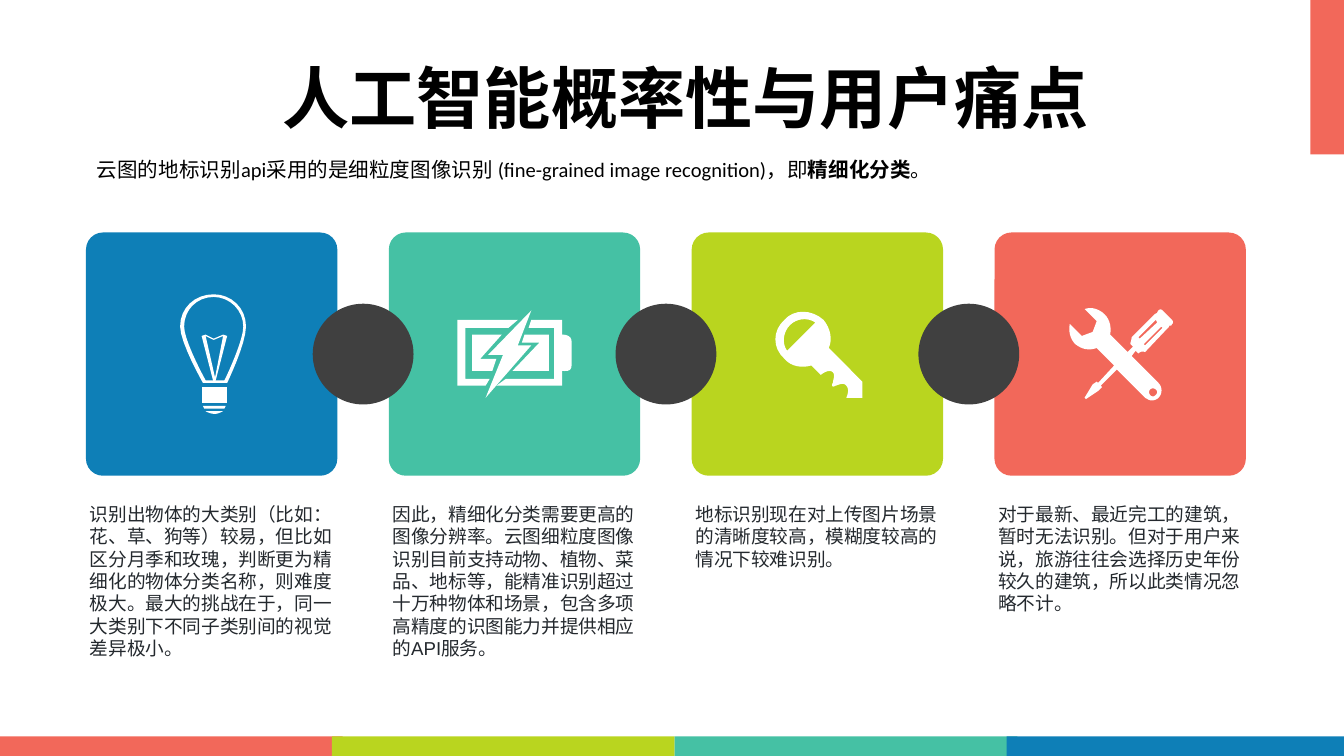
from pptx import Presentation
from pptx.dml.color import RGBColor
from pptx.enum.shapes import MSO_SHAPE as Shape
from pptx.enum.text import MSO_ANCHOR as Anchor, MSO_AUTO_SIZE as AutoSize
from pptx.util import Inches, Pt

WIDTH = 10
HEIGHT = WIDTH * 9 / 16
BLUE = RGBColor(0x0E, 0x7F, 0xB7)
TEAL = RGBColor(0x45, 0xC1, 0xA4)
LIME = RGBColor(0xB9, 0xD5, 0x1F)
CORAL = RGBColor(0xF2, 0x68, 0x5A)
CHARCOAL = RGBColor(0x40, 0x40, 0x40)
INK = RGBColor(0x24, 0x29, 0x2E)
BLACK = RGBColor(0, 0, 0)
WHITE = RGBColor(0xFF, 0xFF, 0xFF)

# Card grid: four cards evenly spread from the first left edge to the last
LEFT, LAST_LEFT, TOP = 0.64, 7.4, 1.73
PITCH = (LAST_LEFT - LEFT) / 3
CARD_W, CARD_H = 1.87, 1.81
LINK = 0.75

# Icon outlines in hundredths of an inch from the icon's corner.
# "x,y" is a corner, six numbers are a curve, "/" starts another contour.
BULB = [
    "25,2 37,2,47,12,47,24 47,34,36,58,33,64 19,64 14,55,3,33,3,24 3,12,12,2,25,2"
    " / 25,0 11,0,0,10,0,24 0,36,17,66,17,66 35,66 35,66,49,37,49,24 49,10,38,0,25,0",
    "18,85 33,85 34,83 17,83",
    "26,89 28,89,30,88,32,87 19,87 21,88,23,89,26,89",
    "35,69 16,69 16,81 35,81",
    "35,31 32,30 25,33 19,30 16,31 25,66 26,66 / 26,62 19,31 25,34 32,31",
]
BATTERY = [
    "6,51 6,13 38,13 45,7 0,7 0,56 21,56 24,51",
    "78,18 78,7 55,7 53,13 72,13 72,51 36,51 29,56 78,56 78,45"
    " 80,45,85,46,85,41 85,23 85,18,79,18,78,18",
    "11,18 11,45 26,45 29,36 17,36 33,18",
    "61,24 41,45 68,45 68,18 50,18 48,24",
    "45,26 55,0 23,33 34,33 21,65 55,26",
]
KEY = [
    "9,8 0,16,0,29,9,37 14,43,22,44,29,42 36,49 36,49,42,44,45,47"
    " 47,49,45,53,45,55 44,56,44,59,47,57 48,57,53,54,55,57 58,60,55,66,55,66"
    " 67,66 67,54 42,29 45,22,43,14,38,8 29,0,16,0,9,8"
    " / 11,31 7,26,8,17,13,12 18,7,26,6,32,10",
]
TOOLS = [
    "77,10 70,3 69,2,68,2,67,3 66,4,66,5,66,5 66,5,65,5,64,6 47,23"
    " 47,25,46,27,46,28 48,30 44,34 31,21 32,16,31,10,27,6 23,2,17,0,12,2"
    " 21,11 18,19 10,22 1,13 0,18,1,24,5,28 10,32,15,33,21,31 34,44 22,57"
    " 21,56 18,58 12,68 13,69 22,63 25,60 24,59 36,47 57,68 59,69,60,70,62,70"
    " 64,70,66,69,67,68 70,65,70,60,67,57 47,37 50,33 52,35 53,34,55,33,57,34"
    " 74,16 75,15,75,15,75,14 76,15,77,14,77,13 78,13,78,11,77,10"
    " / 63,61 64,61,66,62,66,64 66,65,64,67,63,67 61,67,60,65,60,64 60,62,61,61,63,61"
    " / 53,24 52,23 65,10 66,12 / 57,29 56,28 69,15 70,16",
]

# Colour, icon, icon offset within the card, caption height, caption
COLUMNS = [
    (BLUE, BULB, (0.70, 0.46), 1.28,
     "识别出物体的大类别（比如：花、草、狗等）较易，但比如区分月季和玫瑰，判断更为精细化的物体分类名称，"
     "则难度极大。最大的挑战在于，同一大类别下不同子类别间的视觉差异极小。"),
    (TEAL, BATTERY, (0.51, 0.58), 1.28,
     "因此，精细化分类需要更高的图像分辨率。云图细粒度图像识别目前支持动物、植物、菜品、地标等，"
     "能精准识别超过十万种物体和场景，包含多项高精度的识图能力并提供相应的API服务。"),
    (LIME, KEY, (0.60, 0.57), 0.61,
     "地标识别现在对上传图片场景的清晰度较高，模糊度较高的情况下较难识别。"),
    (CORAL, TOOLS, (0.55, 0.55), 0.94,
     "对于最新、最近完工的建筑，暂时无法识别。但对于用户来说，旅游往往会选择历史年份较久的建筑，"
     "所以此类情况忽略不计。"),
]


def paint(shape, color):
    shape.shadow.inherit = False
    shape.fill.solid()
    shape.fill.fore_color.rgb = color
    shape.line.fill.background()


def add_block(page, kind, box, color):
    shape = page.shapes.add_shape(kind, *map(Inches, box))
    paint(shape, color)
    return shape


def add_text(page, box, spans, size, font, color, insets=(0.1, 0.05), wrap=True):
    """Spans are (text, bold) pairs of one paragraph."""
    frame = page.shapes.add_textbox(*map(Inches, box)).text_frame
    frame.word_wrap = wrap
    frame.auto_size = AutoSize.SHAPE_TO_FIT_TEXT
    frame.margin_left = frame.margin_right = Inches(insets[0])
    frame.margin_top = frame.margin_bottom = Inches(insets[1])
    for text, bold in spans:
        span = frame.paragraphs[0].add_run()
        span.text = text
        span.font.size, span.font.name, span.font.bold = Pt(size), font, bold
        span.font.color.rgb = color
    return frame


def trace(contour, left, top, steps=8):
    """Turn a contour into points, with its curves cut into short lines."""
    points = []
    for token in contour.split():
        numbers = [float(number) for number in token.split(",")]
        if len(numbers) == 2:
            points.append(tuple(numbers))
            continue
        start = points[-1]
        for step in range(1, steps + 1):
            t = step / steps
            u = 1 - t
            points.append(tuple(
                u ** 3 * start[axis] + 3 * u * u * t * numbers[axis]
                + 3 * u * t * t * numbers[axis + 2] + t ** 3 * numbers[axis + 4]
                for axis in (0, 1)))
    return [(Inches(left + x / 100), Inches(top + y / 100)) for x, y in points]


def add_icon(page, outlines, left, top):
    # Only icons of several pieces need a group
    holder = page.shapes.add_group_shape() if len(outlines) > 1 else page
    for outline in outlines:
        first, *others = [trace(part, left, top) for part in outline.split("/")]
        builder = holder.shapes.build_freeform(*first[0])
        builder.add_line_segments(first[1:])
        for points in others:
            builder.move_to(*points[0])
            builder.add_line_segments(points[1:])
        paint(builder.convert_to_shape(), WHITE)


def add_frame(page):
    # Footer bands and corner tab
    lefts = (0, 2.47, 5.02, 7.49)
    for left, color in zip(lefts, (CORAL, LIME, TEAL, BLUE)):
        add_block(page, Shape.RECTANGLE, (left, 5.48, 2.55, 0.17), color)
    add_block(page, Shape.RECTANGLE, (9.75, -0.02, 0.28, 1.17), CORAL)


def add_heading(page):
    insets = (0.05, 0.03)
    add_text(page, (2.05, 0.39, 6.18, 0.66), [("人工智能概率性与用户痛点", True)],
             36, "Calibri", BLACK, insets, wrap=False)
    lead = add_text(page, (0.67, 1.14, 8.58, 0.24), [
        ("云图的地标识别api采用的是细粒度图像识别 (fine-grained image recognition)，即", False),
        ("精细化分类", True), ("。", False)], 11, "Calibri", BLACK, insets)
    lead.vertical_anchor = Anchor.MIDDLE


def add_column(page, left, top, color, icon, offset, caption_height, caption):
    card = add_block(page, Shape.ROUNDED_RECTANGLE, (left, top, CARD_W, CARD_H), color)
    card.adjustments[0] = 0.07
    add_icon(page, icon, left + offset[0], top + offset[1])
    add_text(page, (left - 0.07, top + CARD_H + 0.15, CARD_W + 0.14, caption_height),
             [(caption, False)], 10, "Arial", INK)


def add_links(page, left, top):
    # Discs centred on the gaps between cards
    for index in range(len(COLUMNS) - 1):
        center = left + index * PITCH + (CARD_W + PITCH) / 2
        add_block(page, Shape.OVAL,
                  (center - LINK / 2, top + (CARD_H - LINK) / 2, LINK, LINK), CHARCOAL)


def main():
    deck = Presentation()
    deck.slide_width, deck.slide_height = Inches(WIDTH), Inches(HEIGHT)
    page = deck.slides.add_slide(deck.slide_layouts[6])
    add_frame(page)
    add_heading(page)
    for index, column in enumerate(COLUMNS):
        add_column(page, LEFT + index * PITCH, TOP, *column)
    add_links(page, LEFT, TOP)
    deck.save("out.pptx")


if __name__ == "__main__":
    main()
